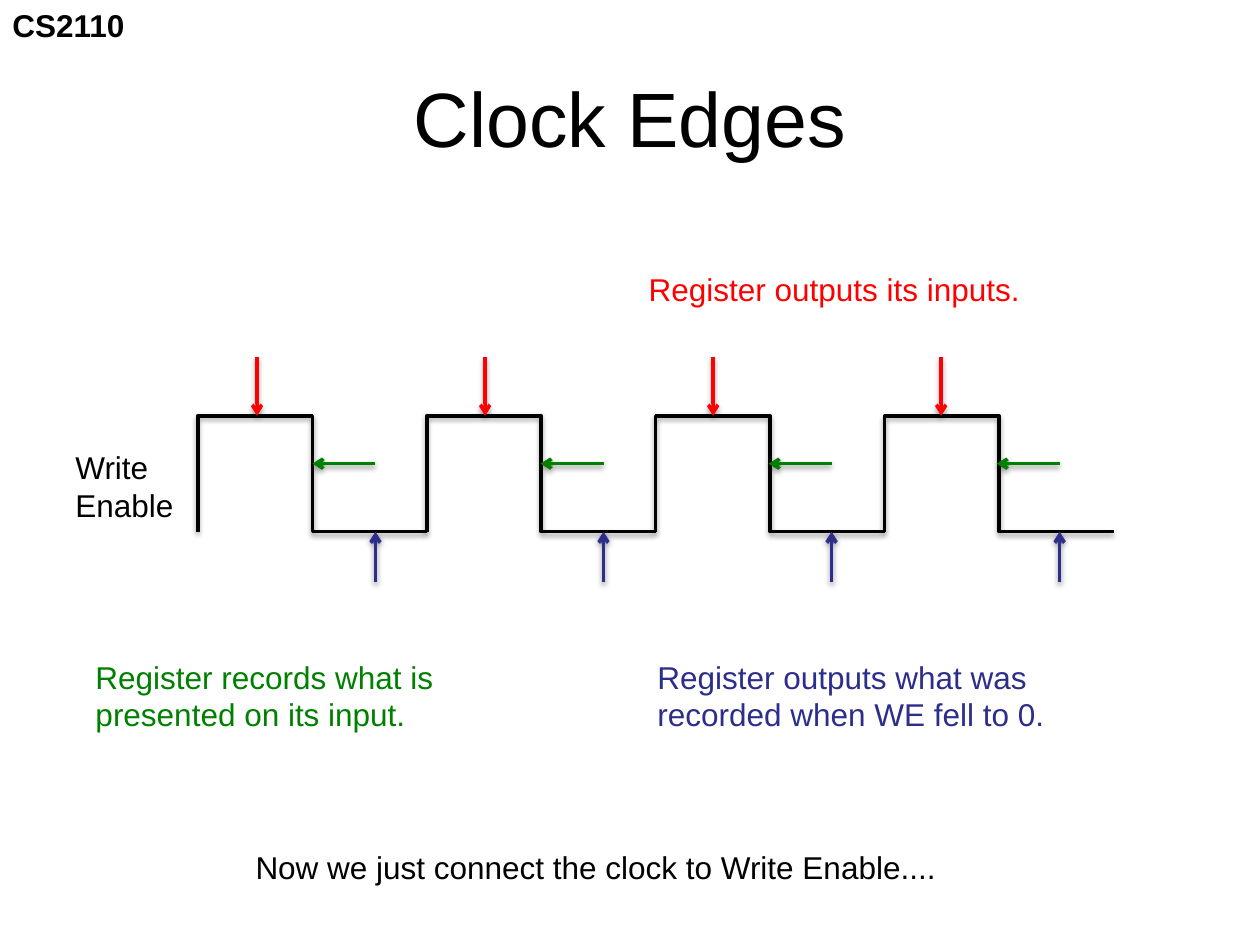
import pptx
import pptx.util
import pptx.dml.color
import pptx.enum.shapes
import pptx.enum.text
import pptx.oxml
import pptx.oxml.ns

BLACK, RED, GREEN, BLUE = "000000", "FF0000", "008000", "2D2D8A"
SHADOW = (
    f'<a:effectLst {pptx.oxml.ns.nsdecls("a")}>'
    '<a:outerShdw blurRad="40000" dist="20000" dir="5400000" rotWithShape="0">'
    '<a:srgbClr val="000000"><a:alpha val="38000"/></a:srgbClr>'
    '</a:outerShdw></a:effectLst>'
)
ARROWHEAD = f'<a:tailEnd {pptx.oxml.ns.nsdecls("a")} type="arrow"/>'

deck = pptx.Presentation()
deck.slide_width = pptx.util.Inches(10)
deck.slide_height = pptx.util.Inches(7.5)
column = deck.slide_width / 100
row = deck.slide_height / 75
page = deck.slides.add_slide(deck.slide_layouts[5])


def write(box, place, lines, color, size=18, bold=False):
    """Place a text shape on the grid and fill it with one paragraph per line."""
    left, top, width, height = place
    position = {"left": left * column, "top": top * row,
                "width": width * column, "height": height * row}
    for name, value in position.items():
        setattr(box, name, round(value))
    box.text_frame.text = "\n".join(lines)
    style = {"name": "Arial", "size": pptx.util.Pt(size), "bold": bold}
    for para in box.text_frame.paragraphs:
        for span in para.runs:
            for name, value in style.items():
                setattr(span.font, name, value)
            span.font.color.rgb = pptx.dml.color.RGBColor.from_string(color)


def draw_line(shape, color):
    """Give a shape a 2 pt line and a soft shadow below it."""
    shape.line.color.rgb = pptx.dml.color.RGBColor.from_string(color)
    shape.line.width = pptx.util.Pt(2)
    shape.element.spPr.append(pptx.oxml.parse_xml(SHADOW))


# Title and text
write(page.shapes.title, (5, 3, 90, 12.5), ["Clock Edges"], BLACK, size=44)
page.shapes.title.text_frame.vertical_anchor = pptx.enum.text.MSO_ANCHOR.MIDDLE
page.shapes.title.text_frame.paragraphs[0].alignment = pptx.enum.text.PP_ALIGN.CENTER

labels = [
    ((0, 0, 11, 4), ["CS2110"], BLACK, False, True),
    ((5, 35.1, 9.9, 7.1), ["Write", "Enable"], BLACK, False, False),
    ((50.5, 20.9, 43.8, 4), ["Register outputs its inputs."], RED, True, False),
    ((51.2, 51.7, 40.4, 7.1),
     ["Register outputs what was recorded when WE fell to 0."], BLUE, True, False),
    ((6.6, 51.7, 34, 7.1),
     ["Register records what is presented on its input."], GREEN, True, False),
    ((19.3, 66.8, 56.6, 4),
     ["Now we just connect the clock to Write Enable...."], BLACK, False, False),
]
for place, lines, color, wrap, bold in labels:
    box = page.shapes.add_textbox(0, 0, 0, 0)
    box.text_frame.word_wrap = wrap
    box.text_frame.auto_size = pptx.enum.text.MSO_AUTO_SIZE.SHAPE_TO_FIT_TEXT
    write(box, place, lines, color, bold=bold)

# Clock signal: four equal cycles, each high for its first half
cycles = 4
first_edge, period = 15.7, 18.17
high, low = 33, 42.2
for cycle in range(cycles):
    rise = first_edge + cycle * period
    fall, end = rise + period / 2, rise + period
    corners = [(round(x * column), round(y * row)) for x, y in
               [(rise, low), (rise, high), (fall, high), (fall, low), (end, low)]]
    builder = page.shapes.build_freeform(*corners[0])
    builder.add_line_segments(corners[1:], close=False)
    wave = builder.convert_to_shape()
    wave.fill.background()
    draw_line(wave, BLACK)

# Arrows to the high level, the low level and the falling edge of each cycle
first_arrow, arrow_step = 20.4, 18.1
for cycle in range(cycles):
    top_x = first_arrow + cycle * arrow_step
    low_x = top_x + 9.4
    arrows = [
        ((top_x, 28.3), (top_x, high), RED),
        ((low_x, 46.2), (low_x, low), BLUE),
        ((low_x, 36.8), (low_x - 5, 36.8), GREEN),
    ]
    for (start_x, start_y), (end_x, end_y), color in arrows:
        arrow = page.shapes.add_connector(
            pptx.enum.shapes.MSO_CONNECTOR.STRAIGHT,
            round(start_x * column), round(start_y * row),
            round(end_x * column), round(end_y * row))
        draw_line(arrow, color)
        arrow.line._get_or_add_ln().append(pptx.oxml.parse_xml(ARROWHEAD))

deck.save("out.pptx")
